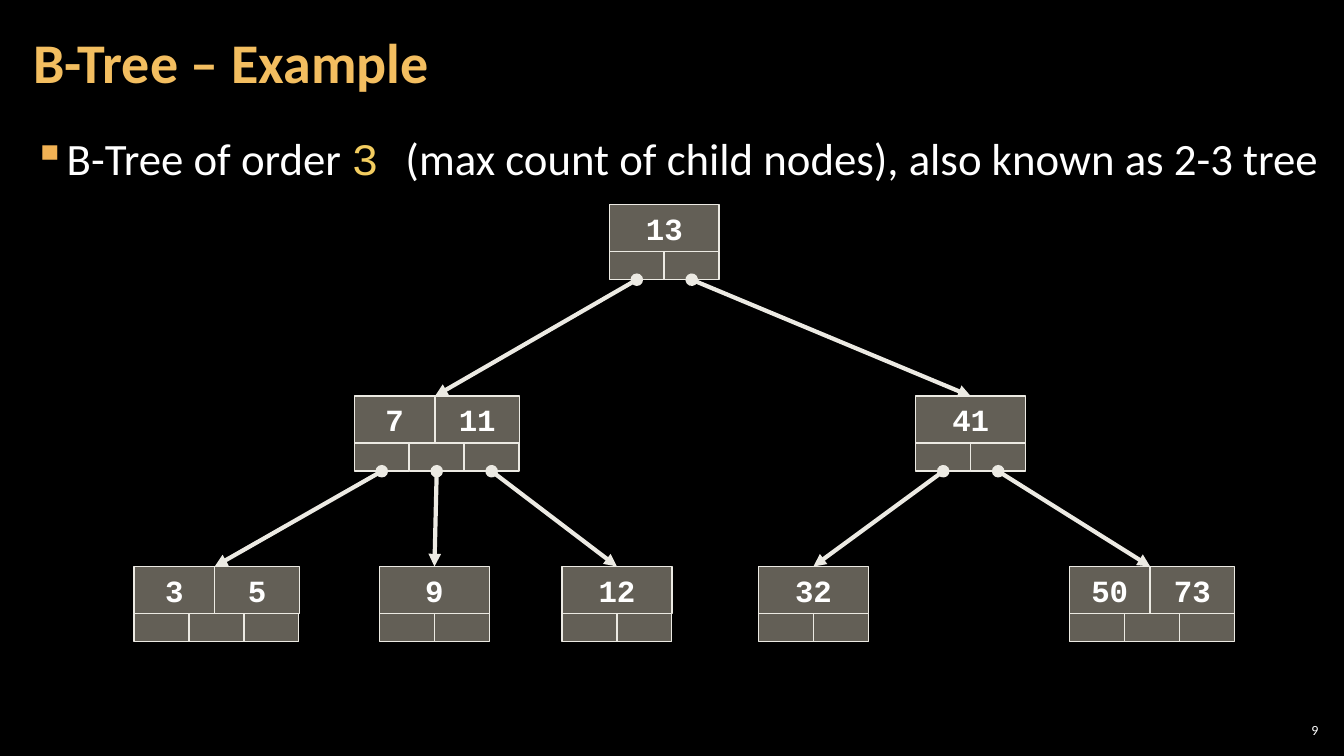
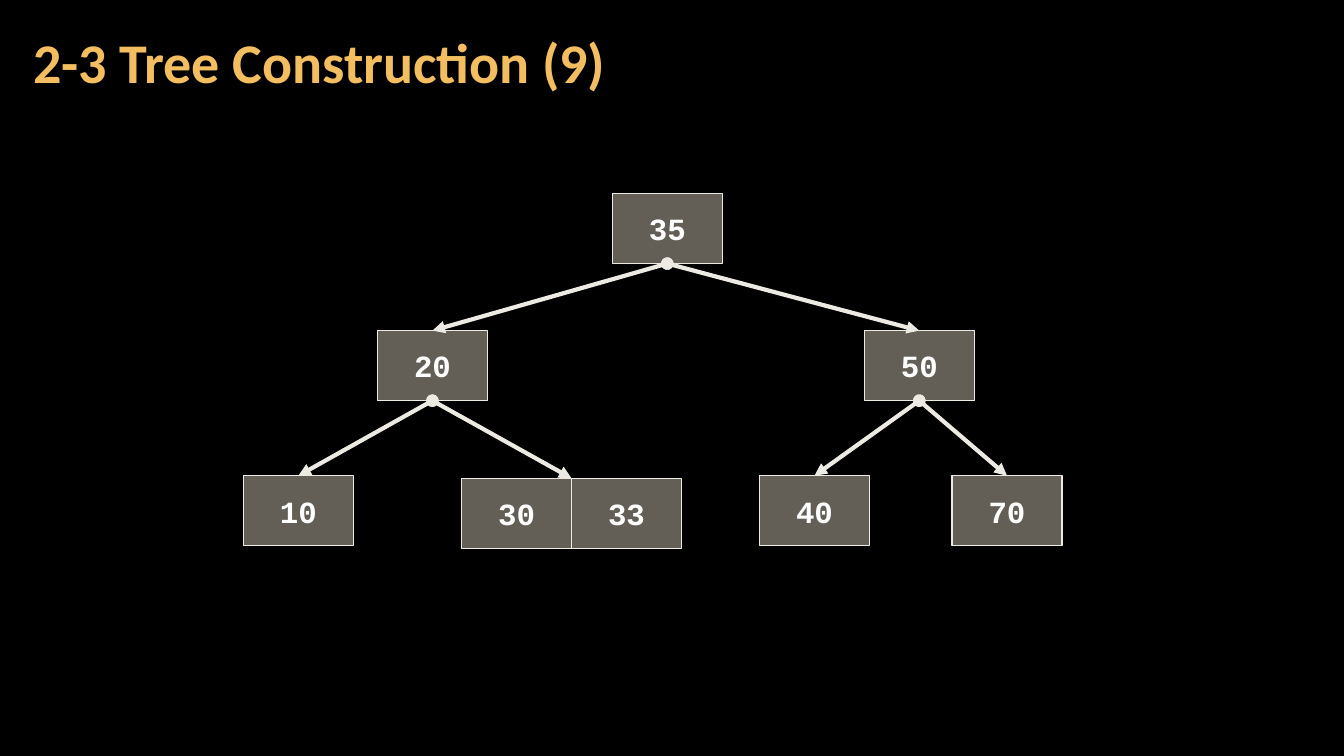
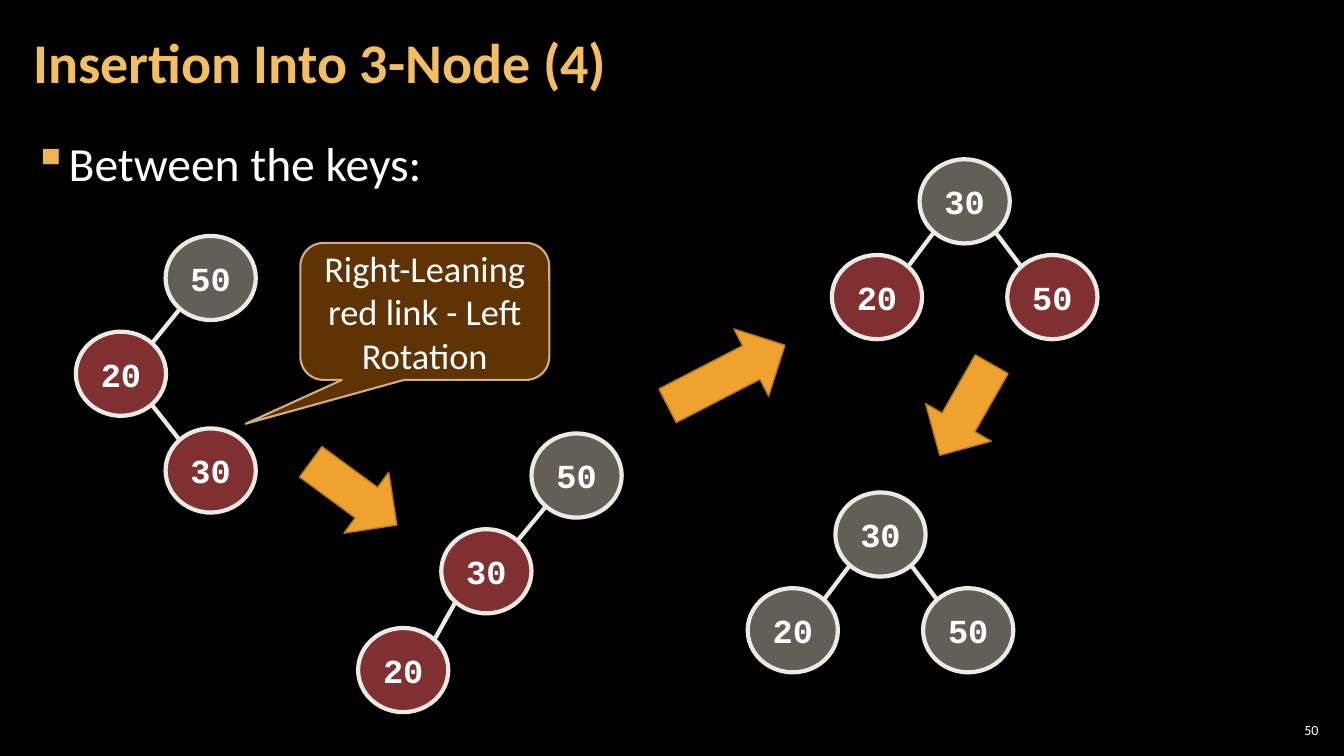
import dataclasses

import lxml.etree
import pptx
import pptx.dml.color
import pptx.enum.shapes
import pptx.enum.text
import pptx.oxml.ns
import pptx.util

COLORS = {
    "background": "000000",
    "text": "FFFFFF",
    "title": "F3BE60",
    "bullet": "F2B254",
    "highlight": "F3CD60",
    "line": "ECEAE3",
    "gray": "C7BFAC",
    "red": "FF6161",
    "arrow": "F0A22E",
    "arrow edge": "B27822",
    "callout": "663606",
    "callout edge": "F8D49E",
}
BODY_FONT, KEY_FONT = "Calibri", "Courier New"

# The grid: square cells of a tenth of an inch
CELL = 0.1
COLUMNS, ROWS = 133.33, 75

SHAPES = pptx.enum.shapes.MSO_SHAPE
ALIGN = pptx.enum.text.PP_ALIGN
ANCHOR = pptx.enum.text.MSO_ANCHOR
qn = pptx.oxml.ns.qn


@dataclasses.dataclass
class Node:
    """A tree node; center is the column where its incoming link ends."""
    keys: str
    center: float
    top: float
    children: tuple = ()
    color: str = "gray"


def cells(count):
    return pptx.util.Inches(count * CELL)


def rgb(name):
    return pptx.dml.color.RGBColor.from_string(COLORS[name])


def set_alpha(color_parent, percent):
    color = color_parent.find(qn("a:solidFill")).find(qn("a:srgbClr"))
    lxml.etree.SubElement(color, qn("a:alpha"), val=str(percent * 1000))


class Deck:
    def __init__(self):
        self.presentation = pptx.Presentation()
        self.presentation.slide_width = cells(COLUMNS)
        self.presentation.slide_height = cells(ROWS)
        background = self.presentation.slide_master.background.fill
        background.solid()
        background.fore_color.rgb = rgb("background")
        self.slide = None

    def add_slide(self, title, number=None):
        self.slide = self.presentation.slides.add_slide(
            self.presentation.slide_layouts[6])
        paragraph = self.text_box(2.1, 0.4, 104.7, 12.1, 1.2, ANCHOR.MIDDLE)
        paragraph.text = title
        paragraph.line_spacing = 0.9
        self.style(paragraph, 40, color="title", bold=True)
        if number:
            paragraph = self.text_box(126.5, 71.4, 4.7, 2.1, 0.4, ANCHOR.MIDDLE)
            paragraph.text = number
            paragraph.alignment = ALIGN.RIGHT
            self.style(paragraph, 10)

    def style(self, paragraph, size, font=BODY_FONT, color="text", bold=False):
        paragraph.font.size = pptx.util.Pt(size)
        paragraph.font.name = font
        paragraph.font.bold = bold
        paragraph.font.color.rgb = rgb(color)

    def text_box(self, left, top, width, height, side_inset, anchor):
        frame = self.slide.shapes.add_textbox(
            cells(left), cells(top), cells(width), cells(height)).text_frame
        frame.word_wrap = True
        frame.vertical_anchor = anchor
        frame.margin_left = frame.margin_right = cells(side_inset)
        frame.margin_top = frame.margin_bottom = cells(0.4)
        return frame.paragraphs[0]

    def bullet(self, parts, size, line_spacing=1.0):
        """One bulleted line; every second part is highlighted."""
        paragraph = self.text_box(2.1, 12.6, 130, 60.9, 1.2, ANCHOR.TOP)
        paragraph.line_spacing = line_spacing
        paragraph.space_before = paragraph.space_after = pptx.util.Pt(6)
        properties = paragraph._p.get_or_add_pPr()
        properties.set("marL", str(cells(3.3)))
        properties.set("indent", str(cells(-3.3)))
        color = lxml.etree.SubElement(properties, qn("a:buClr"))
        lxml.etree.SubElement(color, qn("a:srgbClr"), val=COLORS["bullet"])
        lxml.etree.SubElement(properties, qn("a:buChar"), char="▪")
        self.style(paragraph, size)
        for index, part in enumerate(parts):
            run = paragraph.add_run()
            run.text = part
            if index % 2:
                run.font.name = KEY_FONT
                run.font.color.rgb = rgb("highlight")

    def shape(self, kind, left, top, width, height, fill, edge="line",
              edge_width=1, alpha=100):
        shape = self.slide.shapes.add_shape(
            kind, cells(left), cells(top), cells(width), cells(height))
        shape.shadow.inherit = False
        shape.fill.solid()
        shape.fill.fore_color.rgb = rgb(fill)
        shape.line.color.rgb = rgb(edge)
        shape.line.width = pptx.util.Pt(edge_width)
        if alpha < 100:
            set_alpha(shape.element.spPr, alpha)
        return shape

    def label(self, shape, text, size, font=KEY_FONT, bold=True, wrap=True):
        frame = shape.text_frame
        frame.word_wrap = wrap
        frame.vertical_anchor = ANCHOR.MIDDLE
        paragraph = frame.paragraphs[0]
        paragraph.text = text
        paragraph.alignment = ALIGN.CENTER
        self.style(paragraph, size, font, bold=bold)

    def link(self, start, end, arrow=True):
        connector = self.slide.shapes.add_connector(
            pptx.enum.shapes.MSO_CONNECTOR.STRAIGHT,
            *(cells(value) for value in (*start, *end)))
        connector.line.color.rgb = rgb("line")
        connector.line.width = pptx.util.Pt(3)
        properties = connector.element.spPr
        if arrow:
            line = properties.find(qn("a:ln"))
            lxml.etree.SubElement(line, qn("a:headEnd"), type="oval")
            lxml.etree.SubElement(line, qn("a:tailEnd"), type="triangle")
        lxml.etree.SubElement(properties, qn("a:effectLst"))

    def box_node(self, node, height, widths):
        """Draw the key boxes and return their left edge and bottom."""
        left = node.center - (widths[0] if len(widths) > 1 else widths[0] / 2)
        column = left
        for key, width in zip(node.keys.split(), widths):
            box = self.shape(SHAPES.RECTANGLE, column, node.top, width, height,
                             node.color, alpha=50)
            self.label(box, key, 22)
            column += width
        return left, node.top + height

    def pointer_tree(self, node):
        """Keys over a row of child pointers, one more than there are keys."""
        count = len(node.keys.split())
        left, row = self.box_node(node, 4.65, [10.9] if count == 1 else [8, 8.4])
        width, height = 5.45, 2.8
        ports = []
        for index in range(count + 1):
            column = left + index * width
            self.shape(SHAPES.RECTANGLE, column, row, width, height,
                       node.color, alpha=50)
            ports.append((column + width / 2, row + height))
        for port, child in zip(ports, node.children):
            self.pointer_tree(child)
            self.link(port, (child.center, child.top))

    def box_tree(self, node):
        _, bottom = self.box_node(node, 6.95, [10.9] * len(node.keys.split()))
        for child in node.children:
            self.box_tree(child)
            self.link((node.center, bottom), (child.center, child.top))

    def circle_tree(self, node):
        width, height = 8.95, 8.35
        circle = self.shape(SHAPES.OVAL, node.center - width / 2, node.top,
                            width, height, node.color, edge_width=3, alpha=50)
        self.label(circle, node.keys, 24, wrap=False)
        for child in node.children:
            side = 0.35 * width * (1 if child.center > node.center else -1)
            self.link((node.center + side, node.top + 0.88 * height),
                      (child.center - side, child.top + 0.13 * height),
                      arrow=False)
            self.circle_tree(child)

    def block_arrow(self, left, top, width, rotation):
        arrow = self.shape(SHAPES.RIGHT_ARROW, left, top, width, 7.5,
                           "arrow", "arrow edge")
        arrow.rotation = rotation

    def callout(self, text, left, top, width, height, adjustments):
        callout = self.shape(SHAPES.ROUNDED_RECTANGULAR_CALLOUT, left, top,
                             width, height, "callout", "callout edge", 1.5, 95)
        set_alpha(callout.element.spPr.find(qn("a:ln")), 80)
        for index, value in enumerate(adjustments):
            callout.adjustments[index] = value
        self.label(callout, text, 26, BODY_FONT, bold=False)


def add_example(deck):
    deck.add_slide("B-Tree – Example", "9")
    deck.bullet(["B-Tree of order ", "3 ",
                 "(max count of child nodes), also known as 2-3 tree"], 32)
    middle, bottom = 39.3, 56.2
    deck.pointer_tree(Node("13", 65.9, 20.3, (
        Node("7 11", 43.15, middle, (
            Node("3 5", 21.3, bottom),
            Node("9", 43.1, bottom),
            Node("12", 61.2, bottom))),
        Node("41", 96.3, middle, (
            Node("32", 80.7, bottom),
            Node("50 73", 114.1, bottom))))))


def add_construction(deck):
    deck.add_slide("2-3 Tree Construction (9)")
    middle, bottom = 32.8, 47.2
    deck.box_tree(Node("35", 66.2, 19.2, (
        Node("20", 42.9, middle, (
            Node("10", 29.6, bottom),
            Node("30 33", 56.7, bottom + 0.25))),
        Node("50", 91.2, middle, (
            Node("40", 80.8, bottom),
            Node("70", 99.9, bottom))))))


def add_insertion(deck):
    deck.add_slide("Insertion Into 3-Node (4)", "50")
    deck.bullet(["Between the keys:"], 34, 1.05)

    # Right-leaning red link
    deck.circle_tree(Node("50", 20.9, 23.4, (
        Node("20", 12, 32.9, (Node("30", 20.9, 42.5, color="red"),), "red"),)))
    deck.callout("Right-Leaning red link - Left Rotation",
                 29.8, 24.1, 24.7, 13.6, (-0.72, 0.82, 0.17))
    deck.block_arrow(29.8, 45.2, 10.6, 36.3)

    # After the left rotation
    deck.circle_tree(Node("50", 57.2, 43, (
        Node("30", 48.25, 52.5, (Node("20", 40, 62.3, color="red"),), "red"),)))
    deck.block_arrow(65.5, 33.5, 13.1, 332.7)

    # Balanced, before and after the colour flip
    for center, top, color in ((95.7, 15.8, "red"), (87.35, 48.85, "gray")):
        children = tuple(Node(key, center + offset, top + 9.5, color=color)
                         for key, offset in (("20", -8.7), ("50", 8.7)))
        deck.circle_tree(Node("30", center, top, children))
    deck.block_arrow(90.6, 36.9, 10.4, 119.7)


def main():
    deck = Deck()
    add_example(deck)
    add_construction(deck)
    add_insertion(deck)
    deck.presentation.save("out.pptx")


if __name__ == "__main__":
    main()
